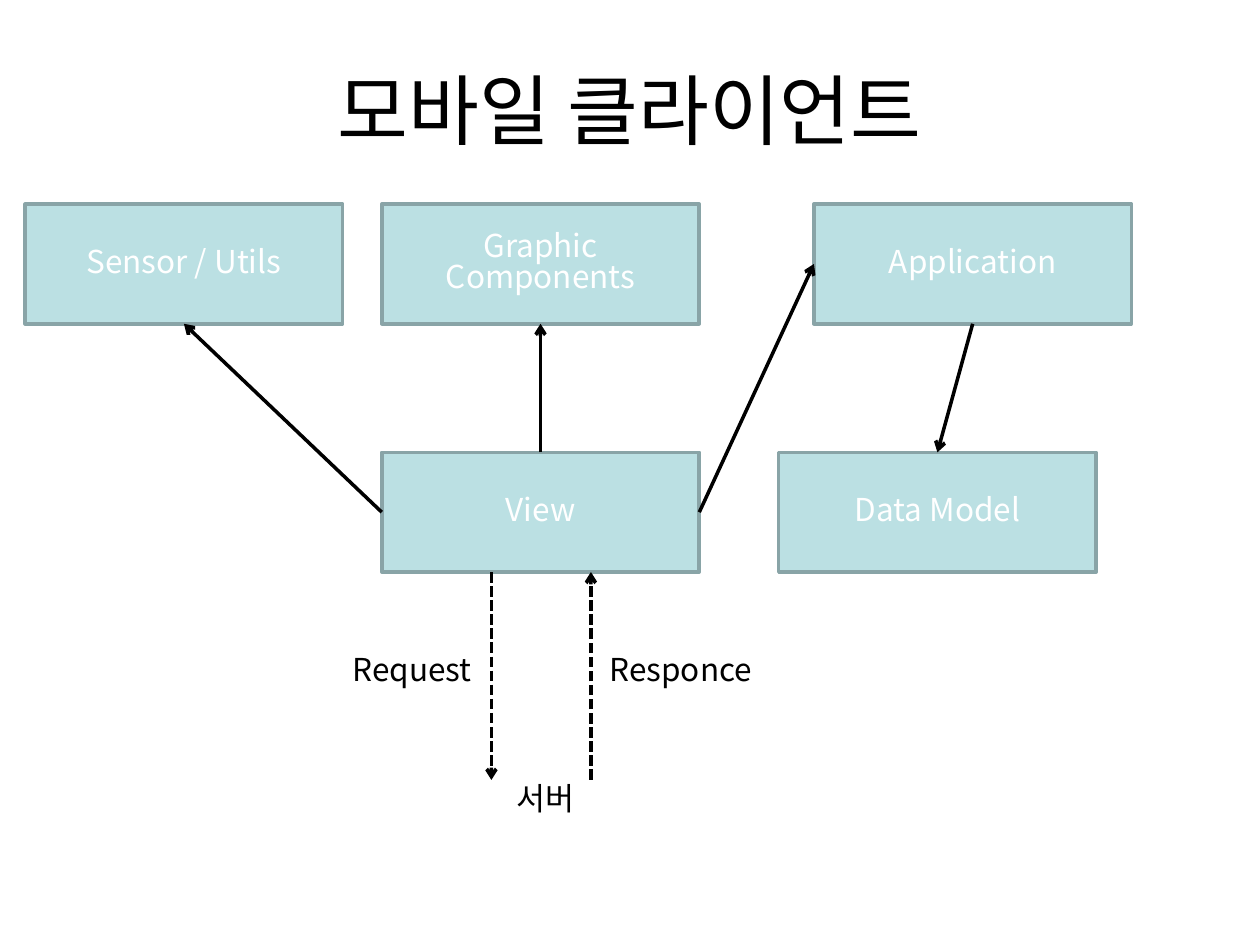
from lxml import etree
from pptx import Presentation
from pptx.dml.color import RGBColor
from pptx.enum.dml import MSO_LINE
from pptx.enum.shapes import MSO_CONNECTOR, MSO_SHAPE
from pptx.enum.text import MSO_ANCHOR, MSO_AUTO_SIZE, PP_ALIGN
from pptx.oxml.ns import qn
from pptx.util import Inches, Pt

RECTANGLE, STRAIGHT = MSO_SHAPE.RECTANGLE, MSO_CONNECTOR.STRAIGHT
DASHED = MSO_LINE.SQUARE_DOT
MIDDLE, GROW = MSO_ANCHOR.MIDDLE, MSO_AUTO_SIZE.SHAPE_TO_FIT_TEXT
LEFT, CENTER = PP_ALIGN.LEFT, PP_ALIGN.CENTER
TOP_SITE, LEFT_SITE, BOTTOM_SITE, RIGHT_SITE = range(4)

THEME = {
    "font": "Noto Sans CJK KR",
    "title_size": Pt(44),
    "text_size": Pt(18),
    "line_spacing": 0.82,
    "line_width": Pt(2),
    "ink": RGBColor(0x00, 0x00, 0x00),
    "box_text": RGBColor(0xFF, 0xFF, 0xFF),
    "box_fill": RGBColor(0xBB, 0xE0, 0xE3),
    "box_line": RGBColor(0x89, 0xA4, 0xA7),
}


def write_text(shape, text, size, color, alignment):
    shape.text_frame.text = text
    for paragraph in shape.text_frame.paragraphs:
        paragraph.alignment = alignment
        paragraph.line_spacing = THEME["line_spacing"]
        for run in paragraph.runs:
            run.font.size = size
            run.font.name = THEME["font"]
            run.font.color.rgb = color
            east_asian = etree.SubElement(run.font._element, qn("a:ea"))
            east_asian.set("typeface", THEME["font"])


def add_arrow(start_x=0, start_y=0, end_x=0, end_y=0, dash=None):
    arrow = slide.shapes.add_connector(
        STRAIGHT, Inches(start_x), Inches(start_y), Inches(end_x), Inches(end_y))
    arrow.line.color.rgb = THEME["ink"]
    arrow.line.width = THEME["line_width"]
    if dash:
        arrow.line.dash_style = dash
    etree.SubElement(arrow.line._get_or_add_ln(), qn("a:tailEnd")).set("type", "arrow")
    etree.SubElement(arrow._element.spPr, qn("a:effectLst"))
    return arrow


presentation = Presentation()
presentation.slide_width, presentation.slide_height = Inches(10), Inches(7.5)
slide = presentation.slides.add_slide(presentation.slide_layouts[5])

# Title
title = slide.shapes.title
title.left, title.top, title.width, title.height = (
    Inches(0.5), Inches(0.3), Inches(9), Inches(1.25))
title.text_frame.vertical_anchor = MIDDLE
write_text(title, "모바일 클라이언트", THEME["title_size"], THEME["ink"], CENTER)

# Component boxes: two rows, View under Graphic Components
box_width, box_height = 2.52, 0.95
upper_row, lower_row = 1.62, 3.59
view_left = 3.03
boxes = {}
for name, text, left, top in [
    ("view", "View", view_left, lower_row),
    ("model", "Data Model", 6.18, lower_row),
    ("application", "Application", 6.46, upper_row),
    ("graphics", "Graphic\nComponents", view_left, upper_row),
    ("sensor", "Sensor / Utils", 0.2, upper_row),
]:
    box = slide.shapes.add_shape(
        RECTANGLE, Inches(left), Inches(top), Inches(box_width), Inches(box_height))
    box.shadow.inherit = False
    box.fill.solid()
    box.fill.fore_color.rgb = THEME["box_fill"]
    box.line.color.rgb = THEME["box_line"]
    box.line.width = THEME["line_width"]
    box.text_frame.vertical_anchor = MIDDLE
    write_text(box, text, THEME["text_size"], THEME["box_text"], CENTER)
    boxes[name] = box

# Arrows glued to the boxes
for source, source_site, target, target_site in [
    ("view", TOP_SITE, "graphics", BOTTOM_SITE),
    ("view", LEFT_SITE, "sensor", BOTTOM_SITE),
    ("application", BOTTOM_SITE, "model", TOP_SITE),
    ("view", RIGHT_SITE, "application", LEFT_SITE),
]:
    arrow = add_arrow()
    arrow.begin_connect(boxes[source], source_site)
    arrow.end_connect(boxes[target], target_site)

# Request and response between View and the server
view_bottom, server_top = lower_row + box_height, 6.19
request_x, response_x = 3.9, 4.69
add_arrow(request_x, view_bottom, request_x, server_top, DASHED)
add_arrow(response_x, server_top, response_x, view_bottom, DASHED)

# Labels beside and below the dashed arrows
label_height, label_gap, label_top = 0.4, 0.05, 5.16
request_width = 1.15
for text, left, top, width in [
    ("서버", 4, server_top, 0.66),
    ("Responce", response_x + label_gap, label_top, 1.33),
    ("Request", request_x - label_gap - request_width, label_top, request_width),
]:
    label = slide.shapes.add_textbox(
        Inches(left), Inches(top), Inches(width), Inches(label_height))
    label.text_frame.word_wrap = False
    label.text_frame.auto_size = GROW
    write_text(label, text, THEME["text_size"], THEME["ink"], LEFT)

presentation.save("out.pptx")
